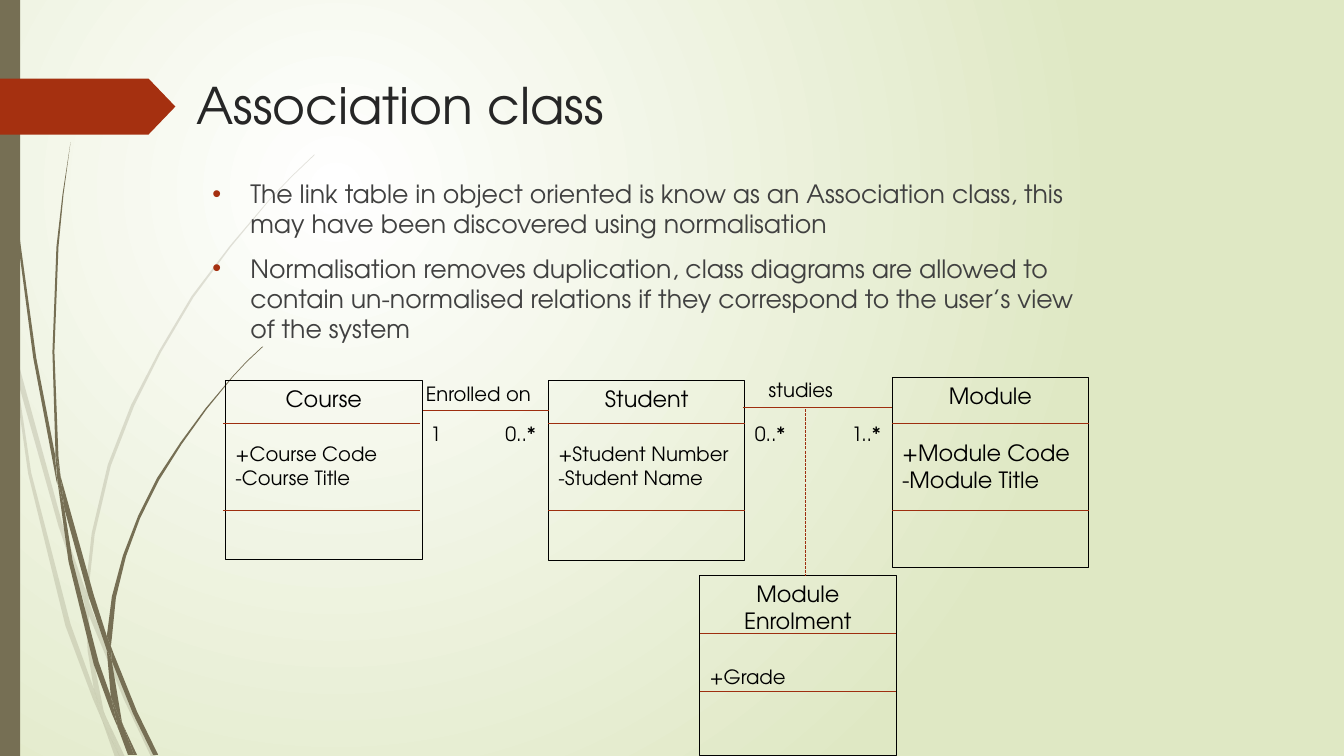
from dataclasses import dataclass

from lxml.etree import SubElement
from pptx import Presentation
from pptx.dml.color import RGBColor
from pptx.enum.dml import MSO_LINE_DASH_STYLE as Dash
from pptx.enum.shapes import MSO_CONNECTOR as Connector, MSO_SHAPE as Shape
from pptx.enum.text import MSO_ANCHOR as Anchor, PP_ALIGN as Align
from pptx.oxml.ns import qn
from pptx.util import Emu, Inches, Pt

FONT = "TeX Gyre Adventor"
OLIVE, RUST, DIVIDER, BLACK = "766F54", "A53010", "9E2E0F", "000000"
COLUMNS, ROWS = 133.33, 75  # square grid cells, 0.1 inch each
BOX_WIDTH = 19.5

Point = tuple[float, float]


@dataclass
class ClassBox:
    names: list[str]
    attributes: list[str]
    left: float
    top: float
    height: float
    dividers: Point
    attribute_size: int = 14
    divider_shift: float = 0


@dataclass
class Label:
    text: str
    left: float
    top: float
    height: float
    tab: float = 0
    indent: float = 1
    drop: float = 0.5


@dataclass
class Link:
    start: Point
    end: Point
    dashed: bool = False


# Outlines of the grass pieces, as "column,row" corners
FAINT_GRASS = [
    "1.1,35 0.9,32.2 0,28.2 0,29.9 1,34.4",
    "5.8,52.2 8.4,59.9 8.5,58.6 6.2,52 1.4,34.5 1.7,37.6",
    "9.2,60.7 8.8,59.6 8.8,61 12.3,69.4 15,75.1 15.5,75.1 12.7,69.2",
    "11.9,75.1 12.4,75.1 10.5,71.1",
    "9.3,68.3 7,61.9 3.1,46.9 1.7,37.6 1.1,35 2.8,47 6.5,62.1 9.2,69.3 10.1,71.4 9.9,70.7",
    "8.4,59.9 8.7,64.6 9.3,68.3 9.6,69.2 10.5,71.1 10.3,70.6 9.1,64.6 8.8,61 8.8,60.8",
    "8.8,58.4 9.4,53 11,46.2 13.3,40.3 16,34.9 19.2,29.5 22.9,24.5 26.8,19.8 29,17.5 31.2,15.4 31.2,15.3 "
    "28.9,17.5 26.8,19.7 22.8,24.4 19,29.4 15.8,34.8 13,40.2 10.7,46.1 9.1,52.9 8.5,58.4 8.5,58.6 8.8,59.6",
    "10.1,71.4 11.4,75.1 11.9,75.1",
    "8.8,60.8 8.8,61 8.8,59.6 8.5,58.6 8.4,59.9",
    "9.6,69.2 9.3,68.3 9.9,70.7 10.1,71.4 11.9,75.1 10.5,71.1",
]
GRASS = [
    "0.7,11 1.7,23.3 3.3,35.5 5.6,47.7 5.7,48.1 5.5,45.7 5.5,45.3 3.6,35.5 1.9,23.2 0.8,10.9 0.5,4.8 0.4,0 "
    "0.3,0 0.4,4.8",
    "8.8,59.2 10.6,64.5 10.6,63.3 10.6,63.1 9.3,59 6,47.2 6.4,50.5",
    "11.3,64.9 11,64.1 11.1,65.6 13.2,70.8 15.2,74.9 15.7,74.9 13.6,70.6",
    "11,69.1 9.8,65.7 7.2,55.6 6.4,50.5 5.7,47.7 6.8,55.7 9.3,65.9 11.1,70.8 11.7,72.2 11.6,71.7",
    "6,47.2 5.8,45.3 5.4,34.9 5.8,24.5 6.3,19.3 7,14.1 6.2,19.3 5.6,24.5 5.2,34.9 5.5,44.9",
    "13.3,74.9 13.6,74.9 12.2,71.9",
    "5.7,47.7 6.4,50.5 6,47.2 5.5,44.9 5.5,45.3",
    "11.1,63.3 11.5,59.3 12.5,55.2 13.9,51.4 15.8,47.6 18,44.1 20.5,40.6 23.1,37.4 24.5,35.9 26.1,34.4 "
    "26,34.4 24.5,35.8 23.1,37.3 20.4,40.5 17.9,43.9 15.6,47.4 13.7,51.2 12.2,55.1 11.1,59.2 10.6,63.1 11,64.1",
    "11.7,72.2 12.7,74.9 13.1,74.9",
    "10.6,64.5 11,69.1 11.6,70.6 12.2,71.9 12.1,71.6 11.1,65.6 10.9,65.1",
    "10.6,64.5 10.9,65.1 11.1,65.6 11,64.1 10.6,63.1 10.6,63.3",
    "11.6,70.6 11,69.1 11.6,71.7 11.7,72.2 13,74.9 13.3,74.9 12.2,71.9",
]
CLASSES = [
    ClassBox(["Module", "Enrolment"], ["+Grade"], 69.4, 57.1, 17.85, (62.85, 68.6)),
    ClassBox(["Student"], ["+Student Number", "-Student Name"], 54.4, 37.72, 17.85, (42, 50.65)),
    ClassBox(["Course"], ["+Course Code", "-Course Title"], 22.37, 37.7, 17.8, (42, 50.65), divider_shift=-0.2),
    ClassBox(["Module"], ["+Module Code", "-Module Title"], 88.5, 37.43, 18.85, (42, 50.65), 16),
]
LABELS = [
    Label("1\t0..*", 41.7, 41.35, 3.4, tab=7.45),
    Label("0..*\t1..*", 73.9, 41.35, 3.4, tab=9.6),
    Label("Enrolled on", 38.5, 36.9, 3.7, indent=3.75, drop=1),
    Label("studies", 73.9, 36.5, 3.7, indent=2.35, drop=1),
]
LINKS = [
    Link((42, 40.7), (54.5, 40.7)),
    Link((73.7, 40.4), (88.5, 40.4)),
    Link((79.9, 40.6), (79.9, 57.1), dashed=True),
]
BULLETS = [
    "The link table in object oriented is know as an Association class, this may have been "
    "discovered using normalisation",
    "Normalisation removes duplication, class diagrams are allowed to contain un-normalised "
    "relations if they correspond to the user’s view of the system",
]


def cells(count: float) -> Emu:
    return Inches(count / 10)


def color(value: str) -> RGBColor:
    return RGBColor.from_string(value)


def style(paragraph, size: int, ink: str) -> None:
    font = paragraph.font
    font.name, font.size, font.color.rgb = FONT, Pt(size), color(ink)


def fill_plain(shape, ink: str) -> None:
    shape.shadow.inherit = False
    shape.fill.solid()
    shape.fill.fore_color.rgb = color(ink)
    shape.line.fill.background()


def draw_grass(slide, outline: str, opacity: int) -> None:
    corners = [tuple(cells(float(value)) for value in corner.split(",")) for corner in outline.split()]
    builder = slide.shapes.build_freeform(*corners[0])
    builder.add_line_segments(corners[1:], close=True)
    shape = builder.convert_to_shape()
    fill_plain(shape, OLIVE)
    if opacity < 100:
        SubElement(shape.element.spPr.find(".//" + qn("a:srgbClr")), qn("a:alpha"), val=str(opacity * 1000))


def draw_line(slide, link: Link) -> None:
    line = slide.shapes.add_connector(Connector.STRAIGHT, *map(cells, link.start + link.end))
    line.line.color.rgb, line.line.width = color(DIVIDER), Pt(0.75)
    if link.dashed:
        line.line.dash_style = Dash.SQUARE_DOT
    SubElement(line.element.spPr, qn("a:effectLst"))


def add_text(slide, left: float, top: float, width: float, height: float, text: str, size: int, ink: str):
    frame = slide.shapes.add_textbox(*map(cells, (left, top, width, height))).text_frame
    frame.word_wrap = True
    frame.text = text
    for paragraph in frame.paragraphs:
        style(paragraph, size, ink)
    return frame


def draw_class(slide, box: ClassBox) -> None:
    shape = slide.shapes.add_shape(Shape.RECTANGLE, *map(cells, (box.left, box.top, BOX_WIDTH, box.height)))
    shape.shadow.inherit = False
    shape.fill.background()
    shape.line.color.rgb, shape.line.width = color(BLACK), Pt(0.75)
    frame = shape.text_frame
    frame.vertical_anchor = Anchor.TOP
    frame.text = "\n".join(box.names + box.attributes)
    for index, paragraph in enumerate(frame.paragraphs):
        is_name = index < len(box.names)
        paragraph.alignment = Align.CENTER if is_name else Align.LEFT
        style(paragraph, 16 if is_name else box.attribute_size, BLACK)
    frame.paragraphs[len(box.names)].space_before = Pt(21.6)
    left = box.left + box.divider_shift
    for y in box.dividers:
        draw_line(slide, Link((left, y), (left + BOX_WIDTH, y)))


def draw_label(slide, label: Label) -> None:
    frame = add_text(slide, label.left, label.top, 17.2, label.height, label.text, 14, BLACK)
    frame.margin_left, frame.margin_top = cells(label.indent), cells(label.drop)
    if label.tab:
        properties = frame.paragraphs[0]._p.get_or_add_pPr()
        tabs = properties.makeelement(qn("a:tabLst"))
        SubElement(tabs, qn("a:tab"), pos=str(cells(label.tab)), algn="l")
        properties.insert(0, tabs)


def draw_bullets(slide) -> None:
    frame = add_text(slide, 20.1, 17.2, 90, 49.5, "\n".join(BULLETS), 18, "404040")
    for paragraph in frame.paragraphs:
        properties = paragraph._p.get_or_add_pPr()
        properties.set("marL", str(cells(3.75)))
        properties.set("indent", str(-cells(3.75)))
        bullet_color = properties.makeelement(qn("a:buClr"))
        SubElement(bullet_color, qn("a:srgbClr"), val=RUST)
        bullet_font = properties.makeelement(qn("a:buFont"), {"typeface": "Arial"})
        bullet = properties.makeelement(qn("a:buChar"), {"char": "•"})
        for position, element in enumerate((bullet_color, bullet_font, bullet)):
            properties.insert(position, element)
    frame.paragraphs[1].space_before = Pt(10)


def paint_background(slide) -> None:
    fill = slide.background.fill
    fill.gradient()
    for stop, ink in zip(fill.gradient_stops, ("FFFFFF", "DFE8C4")):
        stop.color.rgb = color(ink)
    linear = slide.element.find(".//" + qn("a:lin"))
    gradient = linear.getparent()
    gradient.remove(linear)
    circle = SubElement(gradient, qn("a:path"), {"path": "circle"})
    SubElement(circle, qn("a:fillToRect"), l="50000", t="50000", r="100000", b="100000")


def main() -> None:
    presentation = Presentation()
    presentation.slide_width, presentation.slide_height = cells(COLUMNS), cells(ROWS)
    slide = presentation.slides.add_slide(presentation.slide_layouts[6])
    # Backdrop: gradient, grass, side bar and title arrow
    paint_background(slide)
    for outlines, opacity in ((FAINT_GRASS, 20), (GRASS, 100)):
        for outline in outlines:
            draw_grass(slide, outline, opacity)
    fill_plain(slide.shapes.add_shape(Shape.RECTANGLE, 0, 0, cells(2), cells(ROWS)), OLIVE)
    arrow = slide.shapes.add_shape(Shape.PENTAGON, 0, cells(7.8), cells(17.4), cells(5.55))
    arrow.adjustments[0] = 0.48
    fill_plain(arrow, RUST)
    # Title and bullets
    add_text(slide, 18.5, 6.9, 108.3, 10, "Association class", 36, "262626")
    draw_bullets(slide)
    # Class diagram
    for box in CLASSES:
        draw_class(slide, box)
    for link in LINKS:
        draw_line(slide, link)
    for label in LABELS:
        draw_label(slide, label)
    presentation.save("out.pptx")


if __name__ == "__main__":
    main()
